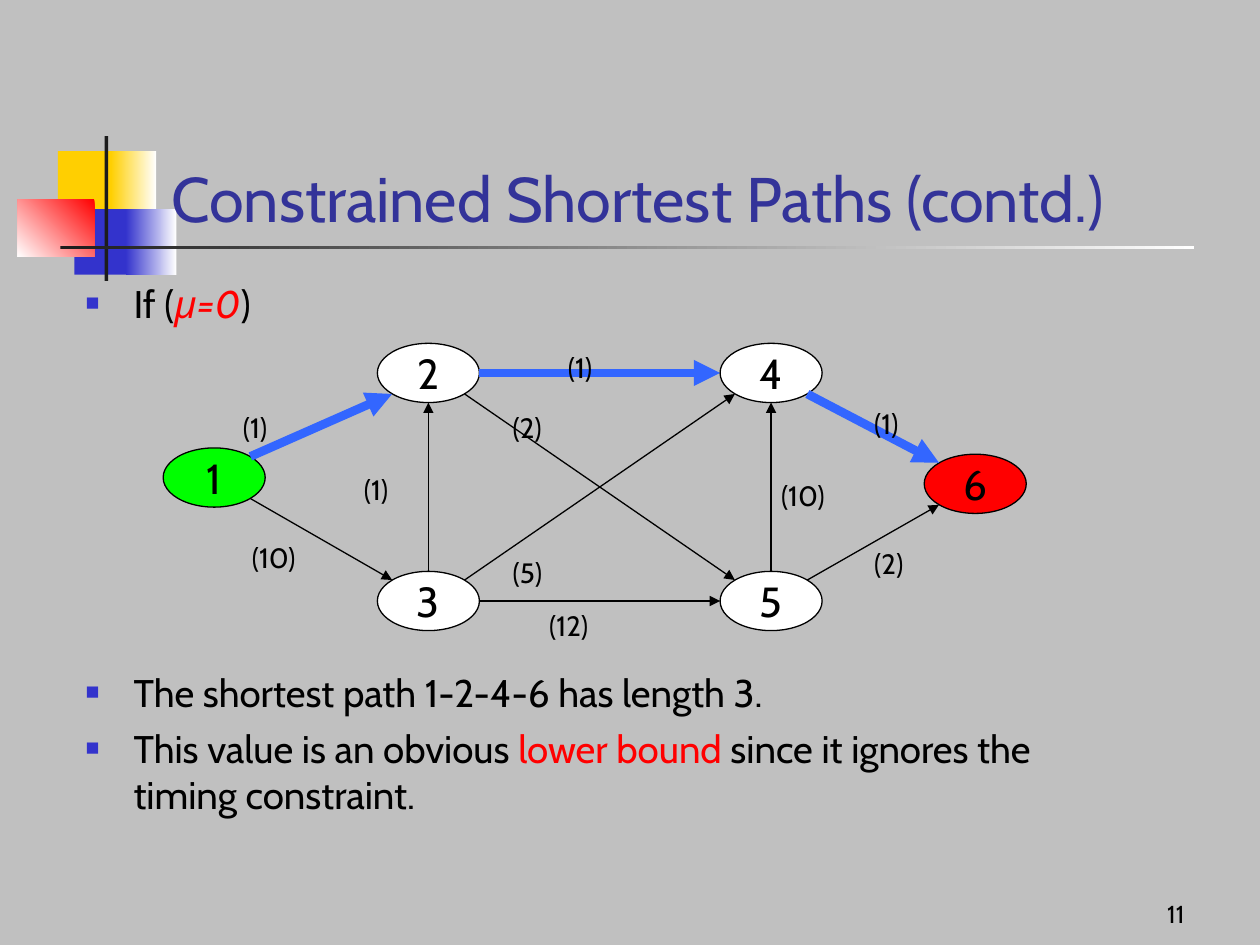
from lxml import etree
from pptx import Presentation
from pptx import util as u
from pptx.dml.color import RGBColor
from pptx.enum import shapes, text
from pptx.oxml import ns

BLACK = RGBColor(0x00, 0x00, 0x00)
WHITE = RGBColor(0xFF, 0xFF, 0xFF)
GREY = RGBColor(0xC0, 0xC0, 0xC0)
CHARCOAL = RGBColor(0x1C, 0x1C, 0x1C)
YELLOW = RGBColor(0xFF, 0xCF, 0x01)
BLUE = RGBColor(0x33, 0x33, 0xCC)
NAVY = RGBColor(0x33, 0x33, 0x99)
PATH_BLUE = RGBColor(0x33, 0x66, 0xFF)
RED = RGBColor(0xFF, 0x00, 0x00)
GREEN = RGBColor(0x00, 0xFF, 0x00)
FONT = "Cabin"

TITLE = "Constrained Shortest Paths (contd.)"
PAGE = "11"
BULLETS = [
    (5.5, [("If (", BLACK, False), ("μ=0", RED, True), (")", BLACK, False)]),
    (196, [("The shortest path 1-2-4-6 has length 3.", BLACK, False)]),
    (5.5, [("This value is an obvious ", BLACK, False),
           ("lower bound", RED, False),
           (" since it ignores the timing constraint.", BLACK, False)]),
]

ORNAMENT = [
    ((0.46, 1.2, 0.48, 0.52), [YELLOW], 0),
    ((0.88, 1.2, 0.36, 0.52), [YELLOW, WHITE], 0),
    ((0.59, 1.66, 0.46, 0.52), [BLUE], 0),
    ((1, 1.66, 0.4, 0.52), [BLUE, WHITE], 0),
    ((0.14, 1.58, 0.61, 0.46), [RED, WHITE], 225),
    ((0.83, 1.08, 0.03, 1.15), [CHARCOAL], 0),
    ((0.48, 1.95, 9, 0.03), [CHARCOAL, WHITE], 0),
]

NODE_W, NODE_H = 0.81, 0.47
COLUMNS = [1.7, 3.4, 6.12, 7.74]
TOP, BOTTOM = 2.96, 4.77
NODES = {
    "1": (COLUMNS[0], 3.79, GREEN),
    "2": (COLUMNS[1], TOP, WHITE),
    "3": (COLUMNS[1], BOTTOM, WHITE),
    "4": (COLUMNS[2], TOP, WHITE),
    "5": (COLUMNS[2], BOTTOM, WHITE),
    "6": (COLUMNS[3], 3.84, RED),
}
SHORTEST = "1246"
EDGES = [
    ("1", "2", "(1)", 1.83, 3.21),
    ("2", "4", "(1)", 4.41, 2.73),
    ("3", "5", "(12)", 4.26, 4.78),
    ("4", "6", "(1)", 6.84, 3.18),
    ("5", "6", "(2)", 6.84, 4.29),
    ("3", "2", "(1)", 2.79, 3.7),
    ("1", "3", "(10)", 1.9, 4.24),
    ("3", "4", "(5)", 3.97, 4.36),
    ("2", "5", "(2)", 3.97, 3.21),
    ("5", "4", "(10)", 6.1, 3.75),
]


def inches(*lengths):
    return [u.Inches(length) for length in lengths]


def style(run, size, color=BLACK, italic=False):
    run.font.name, run.font.size = FONT, u.Pt(size)
    run.font.color.rgb, run.font.italic = color, italic


def write(frame, words, size, color=BLACK, align=text.PP_ALIGN.LEFT):
    frame.text = words
    frame.paragraphs[0].alignment = align
    style(frame.paragraphs[0].runs[0], size, color)


def place(shape, left, top, width, height):
    shape.left, shape.top, shape.width, shape.height = inches(left, top, width, height)


def add_ornament(slide):
    for box, colors, angle in ORNAMENT:
        block = slide.shapes.add_shape(shapes.MSO_SHAPE.RECTANGLE, *inches(*box))
        block.shadow.inherit = False
        block.line.fill.background()
        if len(colors) == 1:
            block.fill.solid()
            block.fill.fore_color.rgb = colors[0]
        else:
            block.fill.gradient()
            block.fill.gradient_angle = angle
            for stop, color in zip(block.fill.gradient_stops, colors):
                stop.color.rgb = color


def add_bullet(paragraph, space, parts):
    paragraph.alignment = text.PP_ALIGN.LEFT
    props = paragraph._p.get_or_add_pPr()
    props.set("marL", str(u.Inches(0.38)))
    props.set("indent", str(-u.Inches(0.38)))
    color = etree.SubElement(props, ns.qn("a:buClr"))
    etree.SubElement(color, ns.qn("a:srgbClr"), val=str(BLUE))
    etree.SubElement(props, ns.qn("a:buSzPct"), val="60000")
    etree.SubElement(props, ns.qn("a:buChar"), char="■")
    paragraph.space_before = u.Pt(space)
    for words, color, italic in parts:
        run = paragraph.add_run()
        run.text = words
        style(run, 22, color, italic)


def add_title_and_bullets(slide):
    title, body = slide.placeholders
    for holder in (title, body):
        slide.shapes._spTree.append(holder._element)
        holder.text_frame.auto_size = text.MSO_AUTO_SIZE.NONE
    place(title, 1.26, 0.67, 8.52, 1.25)
    title.text_frame.vertical_anchor = text.MSO_ANCHOR.BOTTOM
    write(title.text_frame, TITLE, 36, NAVY)
    place(body, 0.58, 2.17, 8.5, 4.5)
    frame = body.text_frame
    for i, (space, parts) in enumerate(BULLETS):
        paragraph = frame.add_paragraph() if i else frame.paragraphs[0]
        add_bullet(paragraph, space, parts)


def add_node(slide, name, x, y, color):
    node = slide.shapes.add_shape(
        shapes.MSO_SHAPE.OVAL,
        *inches(x - NODE_W / 2, y - NODE_H / 2, NODE_W, NODE_H))
    node.shadow.inherit = False
    node.fill.solid()
    node.fill.fore_color.rgb = color
    node.line.color.rgb, node.line.width = BLACK, u.Pt(0.75)
    node.text_frame.word_wrap = False
    node.text_frame.vertical_anchor = text.MSO_ANCHOR.MIDDLE
    write(node.text_frame, name, 24, align=text.PP_ALIGN.CENTER)


def rim_point(start, end):
    (x, y, _), (to_x, to_y, _) = NODES[start], NODES[end]
    right = (to_x > x) - (to_x < x)
    down = (to_y > y) - (to_y < y)
    reach = 0.71 if right and down else 1
    return inches(x + right * reach * NODE_W / 2, y + down * reach * NODE_H / 2)


def add_edge(slide, start, end):
    edge = slide.shapes.add_connector(
        shapes.MSO_CONNECTOR.STRAIGHT, *rim_point(start, end), *rim_point(end, start))
    chosen = start + end in SHORTEST
    edge.line.color.rgb = PATH_BLUE if chosen else BLACK
    edge.line.width = u.Pt(5 if chosen else 0.75)
    etree.SubElement(edge.line._get_or_add_ln(), ns.qn("a:tailEnd"), type="triangle")
    etree.SubElement(edge._element.spPr, ns.qn("a:effectLst"))


def add_cost(slide, cost, left, top):
    width = 0.46 if len(cost) == 3 else 0.58
    label = slide.shapes.add_textbox(*inches(left, top, width, 0.37))
    label.text_frame.word_wrap = False
    write(label.text_frame, cost, 16)


def main():
    deck = Presentation()
    deck.slide_width, deck.slide_height = inches(10, 7.5)
    slide = deck.slides.add_slide(deck.slide_layouts[1])
    slide.background.fill.solid()
    slide.background.fill.fore_color.rgb = GREY
    add_ornament(slide)
    add_title_and_bullets(slide)
    for name, node in NODES.items():
        add_node(slide, name, *node)
    for start, end, *_ in EDGES:
        add_edge(slide, start, end)
    for _, _, *cost in EDGES:
        add_cost(slide, *cost)
    page = slide.shapes.add_textbox(*inches(7.42, 6.92, 2.08, 0.5))
    page.text_frame.word_wrap = True
    page.text_frame.vertical_anchor = text.MSO_ANCHOR.BOTTOM
    write(page.text_frame, PAGE, 14, align=text.PP_ALIGN.RIGHT)
    deck.save("out.pptx")


if __name__ == "__main__":
    main()
